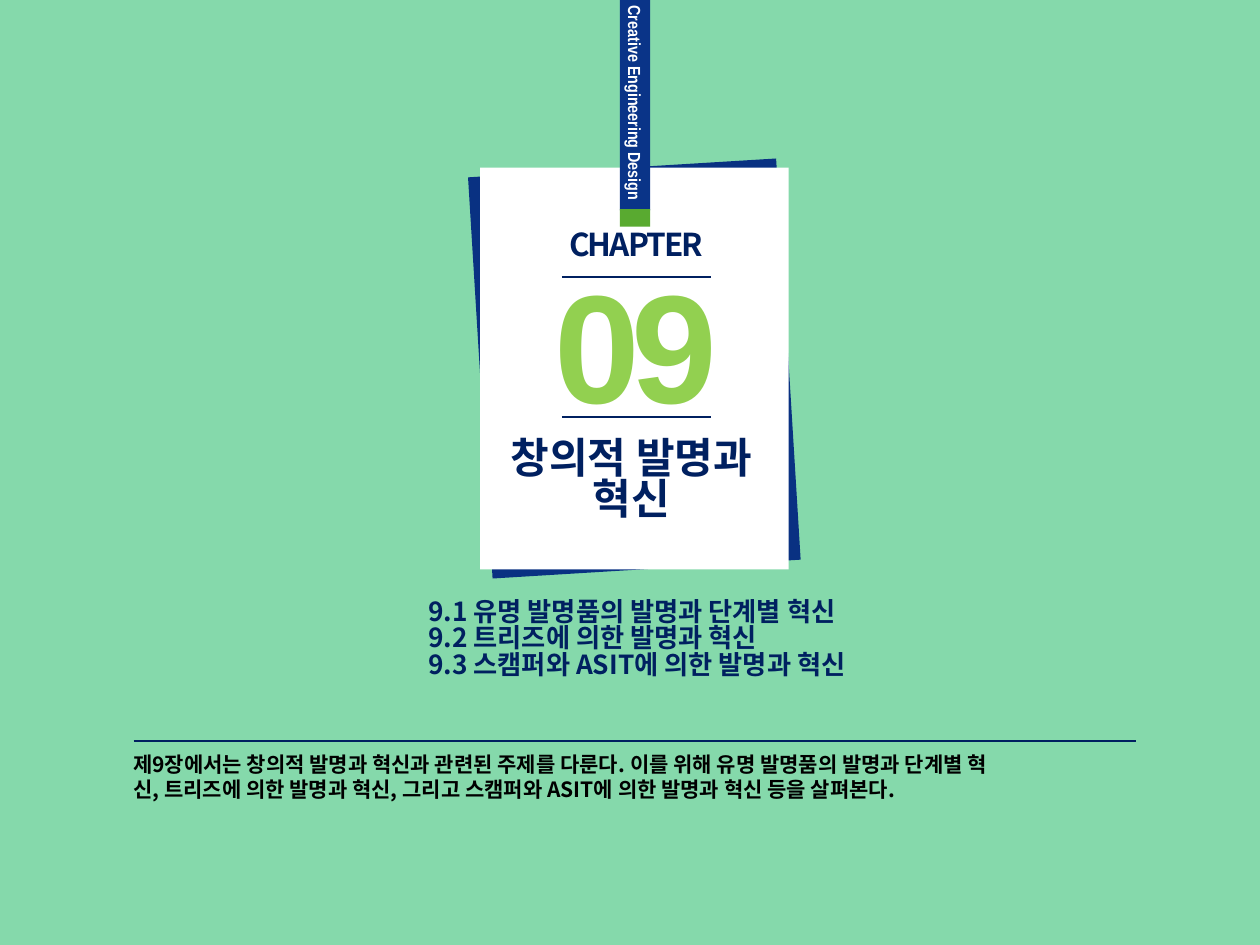
from lxml.etree import SubElement
from pptx import Presentation
from pptx.dml.color import RGBColor
from pptx.enum.shapes import MSO_CONNECTOR as Conn, MSO_SHAPE as Kind
from pptx.enum.text import MSO_ANCHOR as Anchor, PP_ALIGN as Align
from pptx.oxml.ns import qn
from pptx.util import Inches, Pt

MINT = RGBColor(0x85, 0xD9, 0xAB)
BLUE = RGBColor(0x09, 0x31, 0x82)
BAND = RGBColor(0x0A, 0x34, 0x88)
LEAF = RGBColor(0x59, 0xAA, 0x30)
LIME = RGBColor(0x92, 0xD0, 0x50)
NAVY = RGBColor(0x00, 0x20, 0x60)
WHITE = RGBColor(0xFF, 0xFF, 0xFF)
BLACK = RGBColor(0x00, 0x00, 0x00)
SANS = "Noto Sans CJK KR"

CARD = (3.81, 1.33, 2.45, 3.19)
PANELS = [
    (CARD, BLUE, -3.5),
    (CARD, WHITE, 0),
    ((4.92, 0, 0.24, 1.67), BAND, 0),
    ((4.92, 1.66, 0.24, 0.14), LEAF, 0),
]
RIBBON = "Creative Engineering Design"
TITLE = ["창의적 발명과", "혁신"]
TOPICS = [
    "9.1 유명 발명품의 발명과 단계별 혁신",
    "9.2 트리즈에 의한 발명과 혁신",
    "9.3 스캠퍼와 ASIT에 의한 발명과 혁신",
]
INTRO = [
    "제9장에서는 창의적 발명과 혁신과 관련된 주제를 다룬다. 이를 위해 유명 발명품의 발명과 단계별 혁",
    "신, 트리즈에 의한 발명과 혁신, 그리고 스캠퍼와 ASIT에 의한 발명과 혁신 등을 살펴본다.",
]
TEXTS = [
    ((4.08, 1.93, 1.94, 1.58), ["09"],
     dict(size=88, color=LIME, face="Arial", align=Align.CENTER, track=-5, lead=None)),
    ((4.3, 1.79, 1.5, 0.4), ["CHAPTER"],
     dict(size=18, align=Align.CENTER, track=-1.1)),
    ((0.96, 5.95, 9, 1.18), INTRO, dict(size=12, color=BLACK, gap=2.4)),
    ((3.3, 4.72, 5, 0.86), TOPICS, dict(size=15)),
    ((3.67, 3.44, 2.68, 0.91), TITLE, dict(size=24, align=Align.CENTER)),
]
RULES = [(4.46, 5.64, 2.2, 1), (4.46, 5.64, 3.31, 1), (1.06, 9.02, 5.88, 0.75)]


def write(frame, lines, size=12, color=NAVY, face=SANS, align=Align.LEFT,
          track=0, gap=0, lead=0.83):
    frame.word_wrap = True
    for i, line in enumerate(lines):
        para = frame.add_paragraph() if i else frame.paragraphs[0]
        para.alignment = align
        if lead:
            para.line_spacing = lead
        if i and gap:
            para.space_before = Pt(gap)
        run = para.add_run()
        run.text = line
        font = run.font
        font.size, font.bold, font.name = Pt(size), True, face
        font.color.rgb = color
        props = run._r.get_or_add_rPr()
        SubElement(props, qn("a:ea")).set("typeface", face)
        if track:
            props.set("spc", str(round(track * 100)))


def panel(slide, place, color, turn):
    shape = slide.shapes.add_shape(Kind.RECTANGLE, *map(Inches, place))
    shape.shadow.inherit = False
    shape.fill.solid()
    shape.fill.fore_color.rgb = color
    shape.line.fill.background()
    shape.rotation = turn
    return shape


def rule(slide, left, right, top, width):
    line = slide.shapes.add_connector(
        Conn.STRAIGHT, Inches(left), Inches(top), Inches(right), Inches(top))
    line.line.color.rgb = NAVY
    line.line.width = Pt(width)
    SubElement(line._element.spPr, qn("a:effectLst"))


def main():
    deck = Presentation()
    deck.slide_width, deck.slide_height = Inches(10), Inches(7.5)
    slide = deck.slides.add_slide(deck.slide_layouts[6])
    slide.background.fill.solid()
    slide.background.fill.fore_color.rgb = MINT

    back, card, band, tip = [panel(slide, *item) for item in PANELS]
    frame = band.text_frame
    frame.margin_left = frame.margin_top = frame.margin_right = 0
    frame.margin_bottom = Inches(0.08)
    frame.vertical_anchor = Anchor.MIDDLE
    frame._txBody.bodyPr.set("vert", "vert")
    write(frame, [RIBBON], size=10, color=WHITE, face="Arial Narrow",
          align=Align.RIGHT, lead=None)

    for place, lines, style in TEXTS:
        box = slide.shapes.add_textbox(*map(Inches, place))
        write(box.text_frame, lines, **style)
    for item in RULES:
        rule(slide, *item)
    deck.save("out.pptx")


if __name__ == "__main__":
    main()
